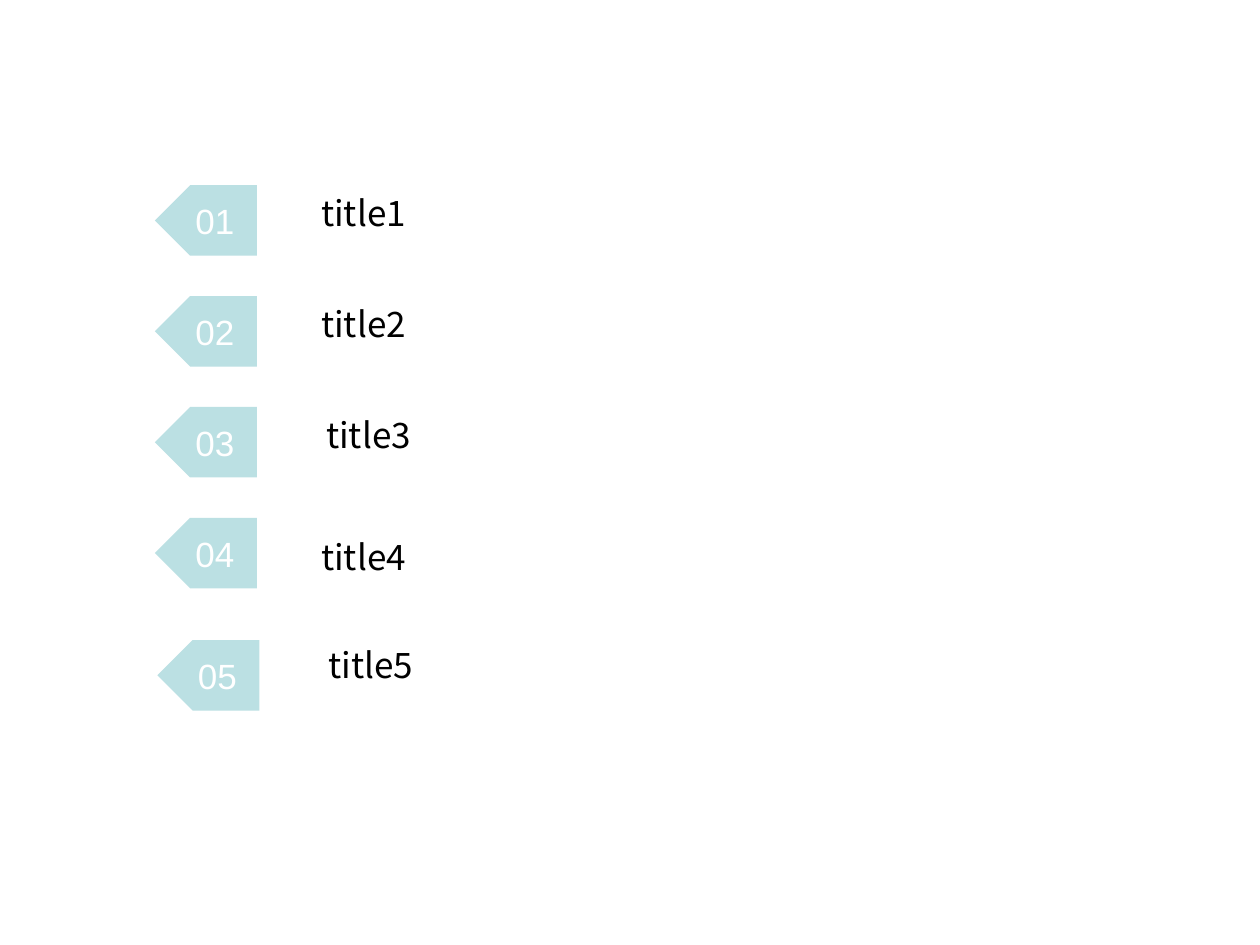
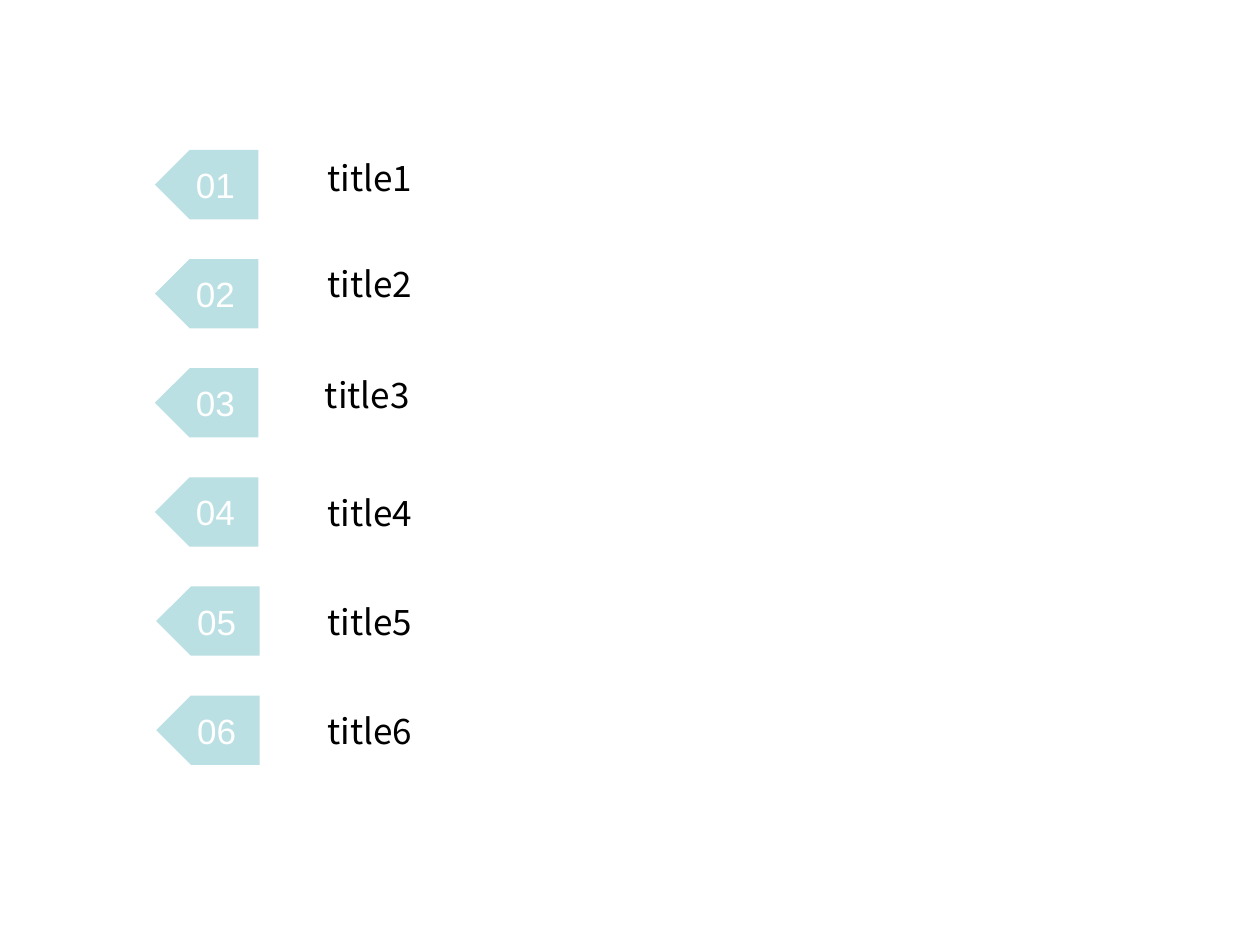
from pptx import Presentation
from pptx.dml.color import RGBColor
from pptx.enum.shapes import MSO_SHAPE
from pptx.enum.text import MSO_ANCHOR, MSO_AUTO_SIZE, PP_ALIGN
from pptx.util import Inches, Pt

# Shared look
BADGE_FILL, BADGE_TEXT, TITLE_TEXT = "BBE0E3", "FFFFFF", "000000"
BADGE_FONT, TITLE_FONT = "Arial", "Noto Sans CJK SC"
BADGE_LEFT = 1.23
TITLE_WIDTH, TITLE_HEIGHT = 6.74, 0.44


def color(hex_code):
    return RGBColor.from_string(hex_code)


def write(frame, text, font, hex_code, align):
    paragraph = frame.paragraphs[0]
    paragraph.alignment = align
    run = paragraph.add_run()
    run.text = text
    run.font.name = font
    run.font.size = Pt(20)
    run.font.color.rgb = color(hex_code)


# Each agenda is a column of evenly spaced rows; nudges are (x, y) per row number
agendas = [
    dict(rows=5, top=1.47, pitch=0.88, badge=(0.81, 0.56), title_left=2.45,
         badge_nudges={5: (0.02, 0.09)},
         title_nudges={3: (0.04, 0), 4: (0, 0.09), 5: (0.06, 0.07)}),
    dict(rows=6, top=1.19, pitch=0.866, badge=(0.82, 0.55), title_left=2.5,
         badge_nudges={5: (0.01, 0), 6: (0.01, 0)},
         title_nudges={2: (0, -0.02), 3: (-0.02, -0.01),
                       4: (0, 0.06), 5: (0, 0.06), 6: (0, 0.06)}),
]

deck = Presentation()
deck.slide_width, deck.slide_height = Inches(10), Inches(7.5)
blank = deck.slide_layouts[6]

for agenda in agendas:
    slide = deck.slides.add_slide(blank)
    badge_width, badge_height = agenda["badge"]

    for number in range(1, agenda["rows"] + 1):
        row_top = agenda["top"] + (number - 1) * agenda["pitch"]

        # Numbered badge pointing left
        dx, dy = agenda["badge_nudges"].get(number, (0, 0))
        badge = slide.shapes.add_shape(
            MSO_SHAPE.PENTAGON, Inches(BADGE_LEFT + dx), Inches(row_top + dy),
            Inches(badge_width), Inches(badge_height))
        badge._element.spPr.get_or_add_xfrm().set("flipH", "1")
        badge.shadow.inherit = False
        badge.fill.solid()
        badge.fill.fore_color.rgb = color(BADGE_FILL)
        badge.line.fill.background()
        badge.text_frame.vertical_anchor = MSO_ANCHOR.MIDDLE
        write(badge.text_frame, f"{number:02d}", BADGE_FONT, BADGE_TEXT, PP_ALIGN.CENTER)

        # Section title
        dx, dy = agenda["title_nudges"].get(number, (0, 0))
        title = slide.shapes.add_textbox(
            Inches(agenda["title_left"] + dx), Inches(row_top + dy),
            Inches(TITLE_WIDTH), Inches(TITLE_HEIGHT))
        title.text_frame.word_wrap = True
        title.text_frame.auto_size = MSO_AUTO_SIZE.SHAPE_TO_FIT_TEXT
        write(title.text_frame, f"title{number}", TITLE_FONT, TITLE_TEXT, PP_ALIGN.LEFT)

deck.save("out.pptx")
